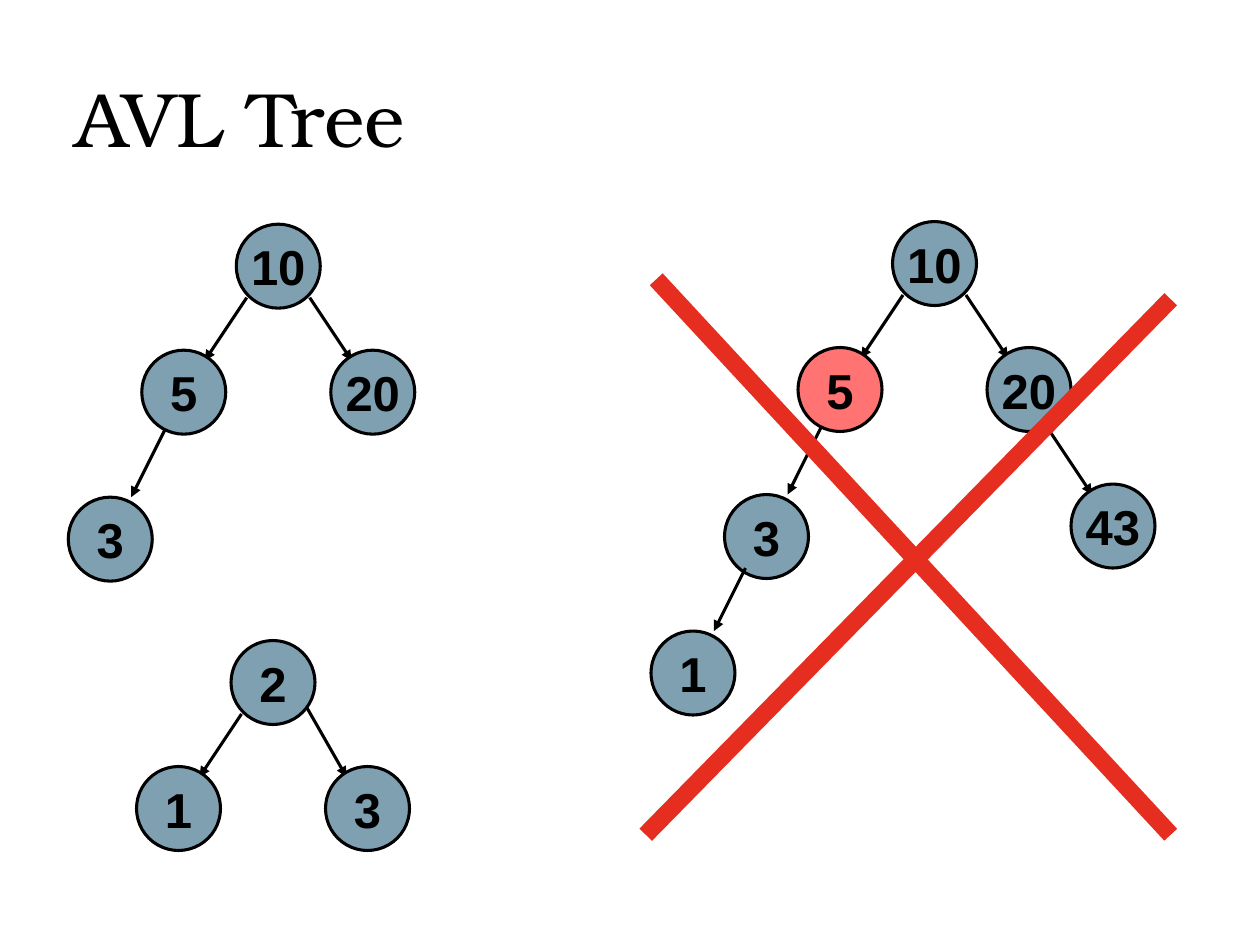
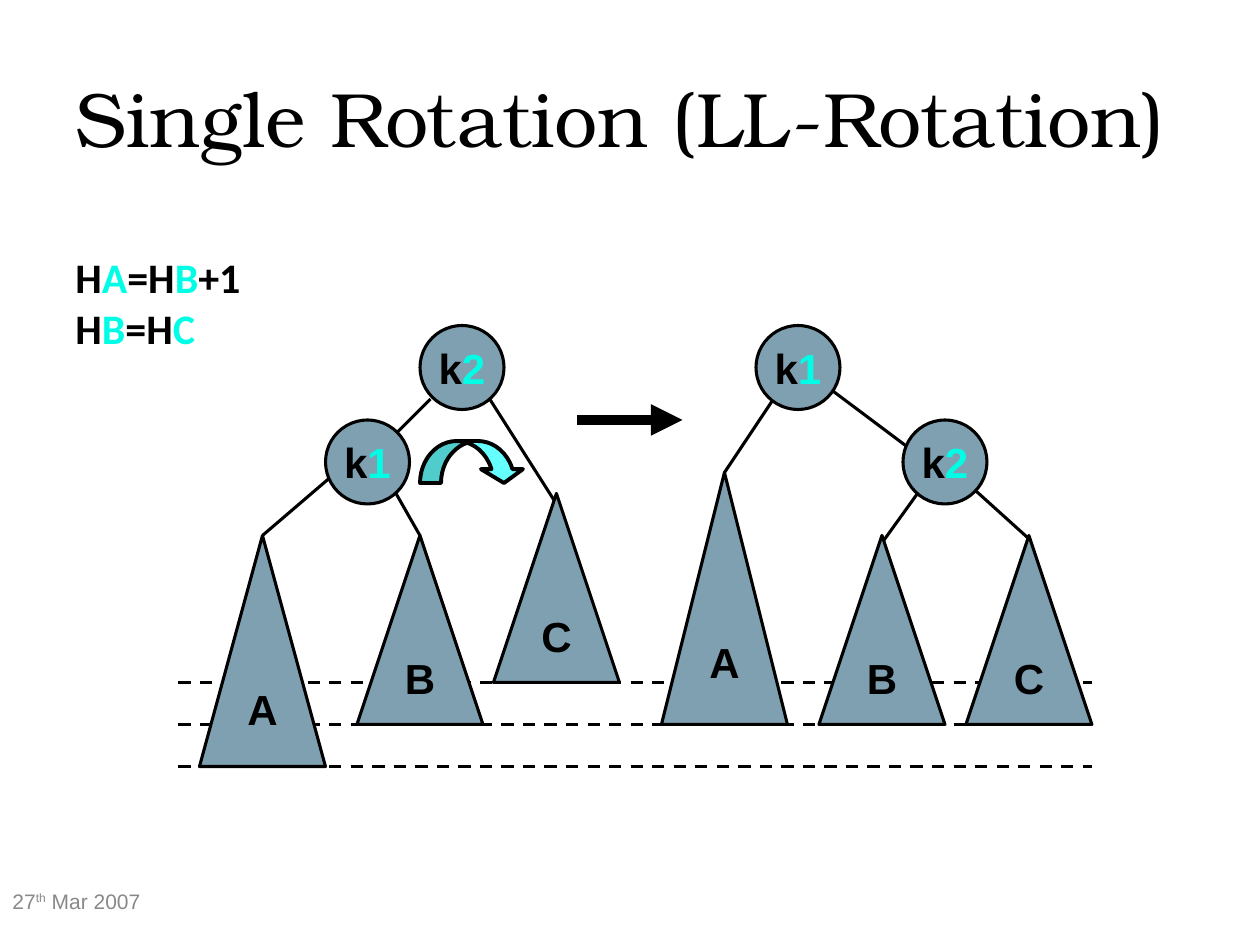
"""Build two slides on AVL trees: balanced examples and the single rotation."""
from lxml.etree import SubElement
from pptx import Presentation
from pptx.dml.color import RGBColor
from pptx.enum.dml import MSO_LINE
from pptx.enum.shapes import MSO_CONNECTOR, MSO_SHAPE
from pptx.enum.text import MSO_ANCHOR, PP_ALIGN
from pptx.oxml.ns import qn
from pptx.util import Inches, Pt

BLACK, STEEL, ROSE, RED = "000000", "7FA0B1", "FF7373", "E62E20"
CYAN, AQUA, GREY = "00FEE7", "66FFFF", "898989"
NODE, SUBTREE_WIDTH = 8, 12
CELL = Inches(1) / 12
color = RGBColor.from_string


def add_box(page, kind, cells, text="", fill=STEEL, size=24, font="Arial",
            ink=BLACK, bold=True, anchor=MSO_ANCHOR.MIDDLE, line=1.75):
    """Add a shape, or a text box when kind is None; every second part between bars is an accent."""
    place = [round(cell * CELL) for cell in cells]
    if kind is None:
        box = page.shapes.add_textbox(*place)
    else:
        box = page.shapes.add_shape(kind, *place)
        box.shadow.inherit = False
        box.fill.solid()
        box.fill.fore_color.rgb = color(fill)
        box.line.color.rgb = color(BLACK)
        box.line.width = Pt(line)
    frame = box.text_frame
    frame.word_wrap = kind is None
    frame.vertical_anchor = anchor
    for index, words in enumerate(text.split("\n")):
        para = frame.add_paragraph() if index else frame.paragraphs[0]
        para.alignment = PP_ALIGN.LEFT if kind is None else PP_ALIGN.CENTER
        para.font.name, para.font.size, para.font.bold = font, Pt(size), bold
        para.font.color.rgb = color(ink)
        for part, piece in enumerate(words.split("|")):
            span = para.add_run()
            span.text = piece
            span.font.name, span.font.size, span.font.bold = font, Pt(size), bold
            span.font.color.rgb = color(CYAN if part % 2 else ink)
    return box


def add_line(page, cells, ink=BLACK, width=1.75, arrow=False, dash=False):
    """Add a straight line from the first to the second point in cells."""
    link = page.shapes.add_connector(MSO_CONNECTOR.STRAIGHT, *[round(cell * CELL) for cell in cells])
    link.line.color.rgb = color(ink)
    link.line.width = Pt(width)
    if dash:
        link.line.dash_style = MSO_LINE.DASH
    if arrow:
        SubElement(link.line._get_or_add_ln(), qn("a:tailEnd"), type="triangle")
    SubElement(link._element.spPr, qn("a:effectLst"))


deck = Presentation()
deck.slide_width, deck.slide_height = Inches(10), Inches(7.5)
pages = []
for title in ("AVL Tree", "Single Rotation (LL-Rotation)"):
    page = deck.slides.add_slide(deck.slide_layouts[6])
    add_box(page, None, (6, 3.6, 108, 15), title, size=44, font="TeX Gyre Bonum", bold=False)
    pages.append(page)
examples, rotation = pages

LEFT, RIGHT = (-9, 12), (9, 12)
LEFT_LINK, RIGHT_LINK = (1, 7, -3, 13), (7, 7, 11, 13)
LOW_LEFT, LOW_LEFT_LINK = (-16, 26), (-6, 18, -10, 26)
trees = [
    (22.5, 21.35, [("3", LOW_LEFT, LOW_LEFT_LINK, STEEL),
                   ("5", LEFT, LEFT_LINK, STEEL),
                   ("20", RIGHT, RIGHT_LINK, STEEL),
                   ("10", (0, 0), None, STEEL)]),
    (22, 61, [("1", LEFT, LEFT_LINK, STEEL),
              ("3", RIGHT, (7, 6, 11, 13), STEEL),
              ("2", (0, 0), None, STEEL)]),
    (85, 21.1, [("3", LOW_LEFT, LOW_LEFT_LINK, STEEL),
                ("1", (-23, 39), (-14, 33, -17, 39), STEEL),
                ("5", LEFT, LEFT_LINK, ROSE),
                ("20", RIGHT, RIGHT_LINK, STEEL),
                ("43", (17, 25), (15, 20, 19, 26), STEEL),
                ("10", (0, 0), None, STEEL)]),
]
for column, row, nodes in trees:
    for label, (across, down), link, fill in nodes:
        if link:
            x1, y1, x2, y2 = link
            add_line(examples, (column + x1, row + y1, column + x2, row + y2), arrow=True)
        add_box(examples, MSO_SHAPE.OVAL, (column + across, row + down, NODE, NODE),
                label, fill, size=28)
for stroke in ((62.5, 26.6, 111.5, 79.5), (111.5, 28.5, 61.5, 79.5)):
    add_line(examples, stroke, RED, 10)

date = add_box(rotation, None, (0, 83.4, 28, 4.8), "27|th| Mar 2007", size=12, ink=GREY, bold=False)
suffix = date.text_frame.paragraphs[0].runs[1]
suffix.font.color.rgb = color(GREY)
suffix._r.get_or_add_rPr().set("baseline", "30000")

for level in (73, 69, 65):
    add_line(rotation, (17, level, 104, level), dash=True)

branches = [
    (46, 37, 53, 48), (36, 44, 40, 51), (25, 51, 32, 45), (41, 38, 36, 43),
    (91, 45, 98.2, 51.5), (79, 37, 87, 43), (69, 45, 75, 36), (89.4, 44.2, 84, 51.7),
]
for branch in branches:
    add_line(rotation, branch)

subtrees = [
    ("A", 19, 51, 73), ("B", 34, 51, 69), ("C", 47, 47, 65),
    ("A", 63, 45, 69), ("B", 78, 51, 69), ("C", 92, 51, 69),
]
for label, column, top, bottom in subtrees:
    add_box(rotation, MSO_SHAPE.ISOSCELES_TRIANGLE,
            (column, top, SUBTREE_WIDTH, bottom - top), label)

for label, column, row in (("k|2", 40, 31), ("k|1", 31, 40), ("k|1", 72, 31), ("k|2", 86, 40)):
    add_box(rotation, MSO_SHAPE.OVAL, (column, row, NODE, NODE), label)

add_line(rotation, (55, 40, 65, 40), width=6, arrow=True)
turn = add_box(rotation, MSO_SHAPE.CURVED_DOWN_ARROW, (40, 42, 10, 4), fill=AQUA, line=2.25)
for index, share in enumerate((0.5, 1, 0.33)):
    turn.adjustments[index] = share
add_box(rotation, None, (6, 23.4, 27, 15.6), "H|A|=H|B|+1\nH|B|=H|C",
        font="Calibri", anchor=MSO_ANCHOR.TOP)

deck.save("out.pptx")
